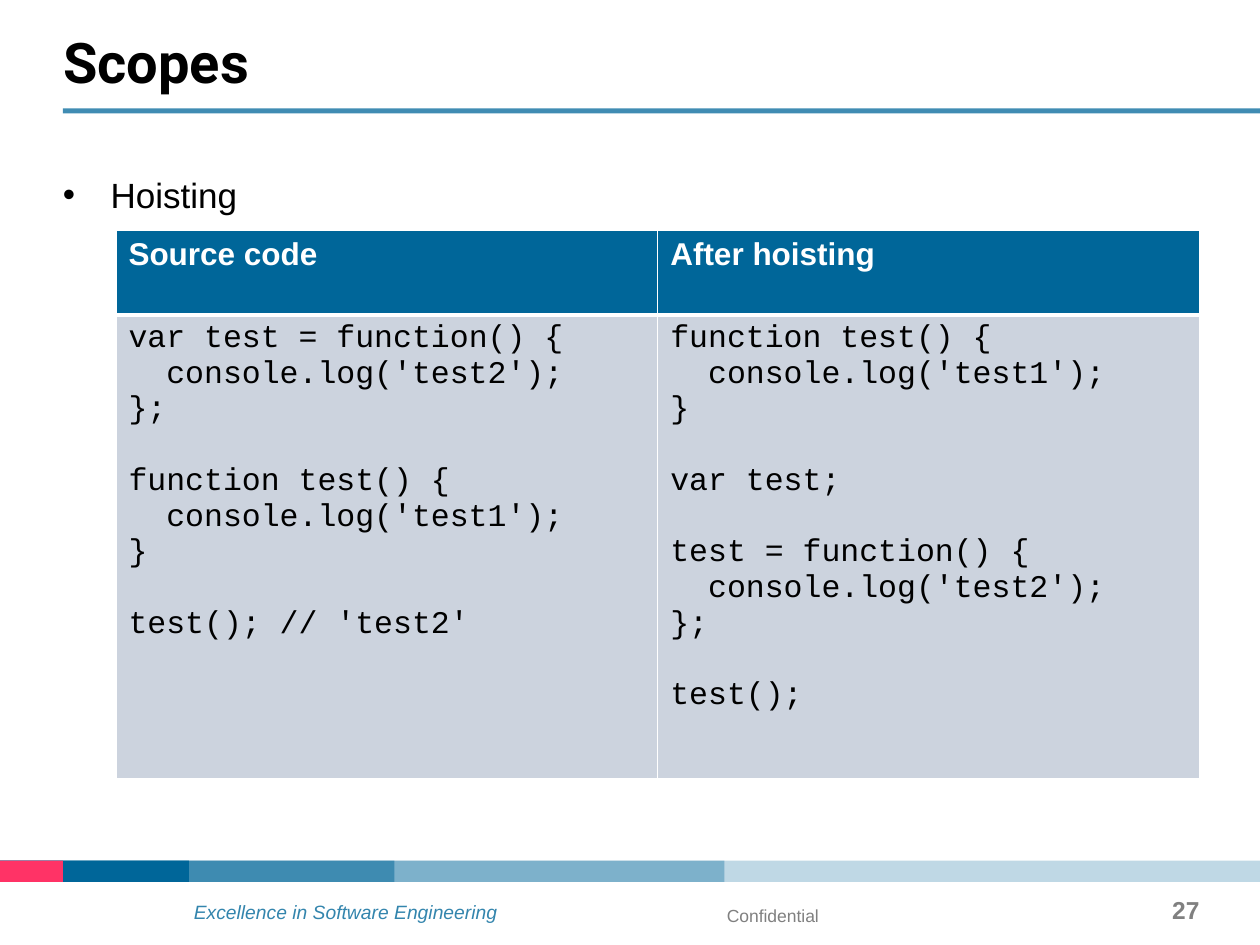
from lxml.etree import SubElement
from pptx import Presentation
from pptx.dml.color import RGBColor
from pptx.enum.shapes import MSO_SHAPE
from pptx.enum.text import MSO_ANCHOR, PP_ALIGN
from pptx.oxml.ns import qn
from pptx.util import Pt

PX = 9144  # EMU per px, 100 px to the inch

BLUE = RGBColor(0x00, 0x66, 0x99)
RULE_BLUE = RGBColor(0x40, 0x8C, 0xB3)
TAG_BLUE = RGBColor(0x33, 0x85, 0xAD)
PINK = RGBColor(0xFF, 0x33, 0x66)
CELL_GREY = RGBColor(0xCC, 0xD3, 0xDE)
TEXT_GREY = RGBColor(0x80, 0x80, 0x80)
BLACK = RGBColor(0, 0, 0)
WHITE = RGBColor(0xFF, 0xFF, 0xFF)

# Footer band: right edge, colour, opacity in percent; later bars lie on top
BAND = [(1000, BLUE, 25), (575, BLUE, 34), (313, BLUE, 50),
        (150, BLUE, 100), (50, PINK, 100)]

# Each column: heading, then blocks of code lines
COLUMNS = [
    ("Source code", [
        ["var test = function() {", "  console.log('test2');", "};"],
        ["function test() {", "  console.log('test1');", "}"],
        ["test(); // 'test2'"],
    ]),
    ("After hoisting", [
        ["function test() {", "  console.log('test1');", "}"],
        ["var test;"],
        ["test = function() {", "  console.log('test2');", "};"],
        ["test();"],
    ]),
]
CODE_INDENT = 30   # two characters of code
CODE_GAP = 20.4    # one line of code, in points


def px(*values):
    return [v * PX for v in values]


def write(p, text, size, color, name="Arial", **extra):
    r = p.add_run()
    r.text = text
    r.font.color.rgb = color
    for key, value in dict(size=Pt(size), name=name, **extra).items():
        setattr(r.font, key, value)


def set_frame(tf, insets, anchor=MSO_ANCHOR.TOP):
    sides = ("margin_left", "margin_top", "margin_right", "margin_bottom")
    formats = dict(zip(sides, px(*insets)), word_wrap=True,
                   vertical_anchor=anchor)
    for key, value in formats.items():
        setattr(tf, key, value)


def add_text(slide, box, insets, text, size, color, **extra):
    tf = slide.shapes.add_textbox(*px(*box)).text_frame
    set_frame(tf, insets)
    p = tf.paragraphs[0]
    write(p, text, size, color, **extra)
    return p


def add_bar(slide, box, color, opacity=100):
    sp = slide.shapes.add_shape(MSO_SHAPE.RECTANGLE, *px(*box))
    sp.shadow.inherit = False
    sp.line.fill.background()
    sp.fill.solid()
    sp.fill.fore_color.rgb = color
    if opacity < 100:
        clr = sp.fill._xPr.find(qn("a:solidFill"))[0]
        SubElement(clr, qn("a:alpha"), val=str(opacity * 1000))


def add_title(slide, text):
    sp = slide.shapes.title
    sp.left, sp.top, sp.width, sp.height = px(50, 30, 950, 60)
    set_frame(sp.text_frame, (0, 5, 10, 15), MSO_ANCHOR.BOTTOM)
    p = sp.text_frame.paragraphs[0]
    p.alignment = PP_ALIGN.LEFT
    p.line_spacing = Pt(28)
    write(p, text, 32, BLACK, "Roboto", bold=True)


def add_bullet(slide, text):
    p = add_text(slide, (40, 133, 920, 45), (10, 5, 10, 5), text, 20, BLACK)
    p.space_before = p.space_after = Pt(6)
    pPr = p._p.get_or_add_pPr()
    pPr.set("marL", str(38 * PX))
    pPr.set("indent", str(-38 * PX))
    SubElement(pPr, qn("a:buFont"), typeface="Arial")
    SubElement(pPr, qn("a:buChar"), char="•")


def format_cell(cell, fill, **borders):
    tcPr = cell._tc.get_or_add_tcPr()
    for side in "LRTB":
        ln = SubElement(tcPr, qn(f"a:ln{side}"), w=str(Pt(borders.get(side, 1))))
        SubElement(SubElement(ln, qn("a:solidFill")), qn("a:srgbClr"),
                   val=str(WHITE))
    cell.fill.solid()
    cell.fill.fore_color.rgb = fill


def write_code(tf, blocks):
    lines = [(line, i > 0 and j == 0) for i, block in enumerate(blocks)
             for j, line in enumerate(block)]
    for n, (line, starts_block) in enumerate(lines):
        p = tf.add_paragraph() if n else tf.paragraphs[0]
        if starts_block:
            p.space_before = Pt(CODE_GAP)
        if line.startswith(" "):
            p._p.get_or_add_pPr().set("marL", str(CODE_INDENT * PX))
        write(p, line.strip(), 18, BLACK, "Courier New")


def add_code_table(slide):
    table = slide.shapes.add_table(2, 2, *px(92, 183, 860, 435)).table
    for row, height in zip(table.rows, px(67, 368)):
        row.height = height
    for c, (heading, blocks) in enumerate(COLUMNS):
        head, body = table.cell(0, c), table.cell(1, c)
        format_cell(head, BLUE, B=3)
        format_cell(body, CELL_GREY, T=3)
        write(head.text_frame.paragraphs[0], heading, 18, WHITE, bold=True)
        write_code(body.text_frame, blocks)


def add_footer(slide):
    for right, color, opacity in BAND:
        add_bar(slide, (0, 683, right, 17), color, opacity)
    p = add_text(slide, (144, 718, 286, 15), (10, 0, 10, 0),
                 "Excellence in Software Engineering", 11, TAG_BLUE, italic=True)
    p.line_spacing = 0.8
    add_text(slide, (567, 713, 333, 37), (10, 5, 10, 0),
             "Confidential", 10, TEXT_GREY)
    p = add_text(slide, (899, 710, 53, 40), (0, 0, 0, 0),
                 "27", 14, TEXT_GREY, bold=True)
    p.alignment = PP_ALIGN.RIGHT


def main():
    prs = Presentation()
    prs.slide_width, prs.slide_height = px(1000, 750)
    slide = prs.slides.add_slide(prs.slide_layouts[5])

    # Footer
    add_footer(slide)

    # Title with its rule
    add_bar(slide, (50, 86, 950, 4), RULE_BLUE)
    add_title(slide, "Scopes")

    # Content
    add_bullet(slide, "Hoisting")
    add_code_table(slide)

    prs.save("out.pptx")


if __name__ == "__main__":
    main()
